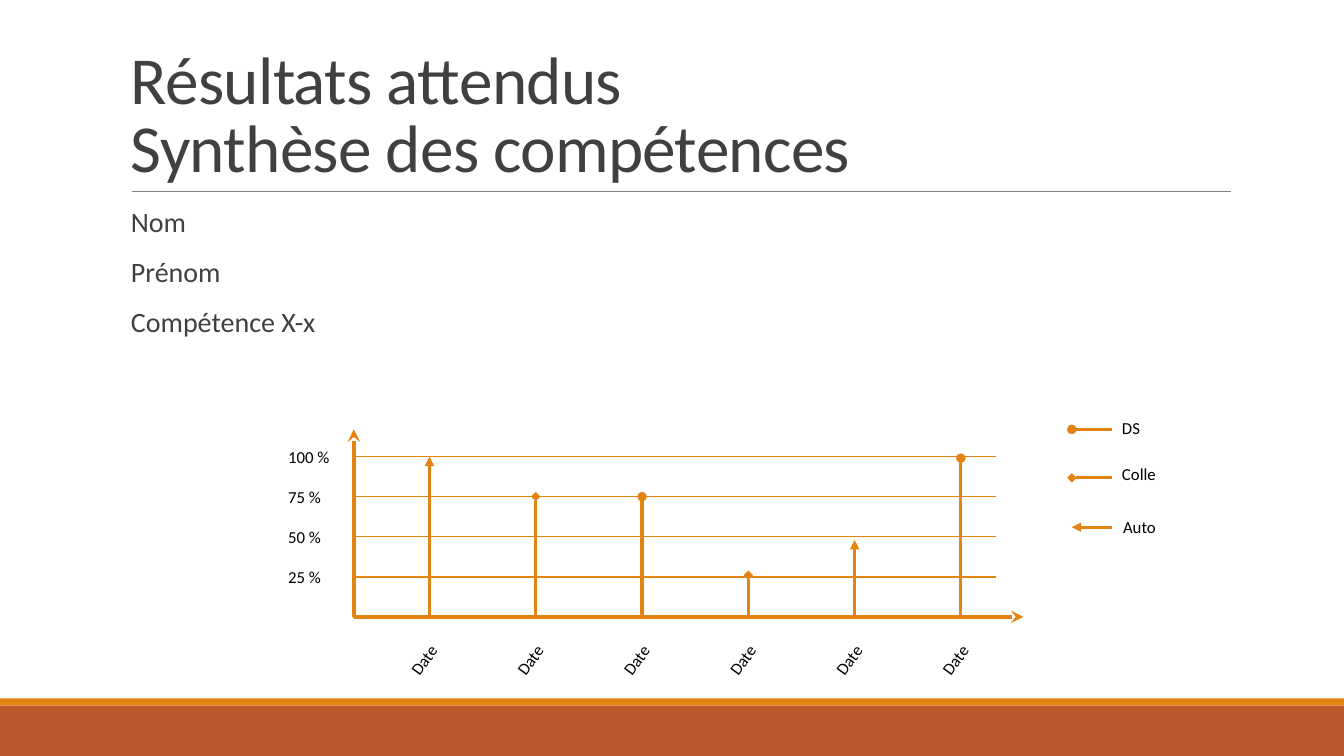
"""Build the expected-results slide with its skills summary diagram."""
from lxml import etree
from pptx import Presentation
from pptx.dml.color import RGBColor
from pptx.enum.shapes import MSO_CONNECTOR, MSO_SHAPE
from pptx.enum.text import MSO_ANCHOR
from pptx.oxml.ns import qn
from pptx.util import Inches, Pt

STRAIGHT = MSO_CONNECTOR.STRAIGHT
RECTANGLE = MSO_SHAPE.RECTANGLE
TOP, BOTTOM = MSO_ANCHOR.TOP, MSO_ANCHOR.BOTTOM
FONT = "Calibri"
COLORS = {"accent": "E48312", "band": "BD582C", "rule": "808080",
          "heading": "404040", "label": "000000"}

AXIS_X, AXIS_Y = 3.51, 6.12
FULL_HEIGHT = 1.59
FIRST_DATE, DATE_STEP = 4.26, 1.054
MARKERS = {"DS": "oval", "Colle": "diamond", "Auto": "triangle"}
RESULTS = [("Auto", 100), ("Colle", 75), ("DS", 75),
           ("Colle", 26), ("Auto", 48), ("DS", 99)]
LEGEND = [("DS", 4.26, 11.03, 4.1), ("Colle", 4.74, 11.03, 4.55),
          ("Auto", 5.23, 11.04, 5.08)]


def color(name):
    return RGBColor.from_string(COLORS[name])


def level(percent):
    """Return the height on the slide of a percentage."""
    return AXIS_Y - FULL_HEIGHT * percent / 100


def add_band(slide, top, height, fill):
    band = slide.shapes.add_shape(
        RECTANGLE, 0, Inches(top), Inches(13.33), Inches(height))
    band.shadow.inherit = False
    band.fill.solid()
    band.fill.fore_color.rgb = color(fill)
    band.line.fill.background()


def add_line(slide, start, end, width, stroke="accent", tip=None):
    line = slide.shapes.add_connector(
        STRAIGHT, *(Inches(value) for value in (*start, *end)))
    line.line.color.rgb = color(stroke)
    line.line.width = Pt(width)
    if tip:
        etree.SubElement(line.line._get_or_add_ln(), qn("a:tailEnd"), type=tip)
    etree.SubElement(line._element.spPr, qn("a:effectLst"))


def add_text(slide, box, lines, size, ink, anchor=TOP):
    """Add a text box with one paragraph per line and return it."""
    text_box = slide.shapes.add_textbox(*(Inches(value) for value in box))
    frame = text_box.text_frame
    frame.word_wrap = True
    frame.vertical_anchor = anchor
    frame.text = "\n".join(lines)
    for paragraph in frame.paragraphs:
        paragraph.font.name = FONT
        paragraph.font.size = Pt(size)
        paragraph.font.color.rgb = color(ink)
    return text_box


def add_label(slide, left, top, text, rotation=0):
    label = add_text(slide, (left, top, 0.73, 0.3), [text], 12, "label")
    label.rotation = rotation


def add_heading(slide):
    heading = add_text(slide, (1.2, 0.31, 11, 1.59),
                       ["Résultats attendus\vSynthèse des compétences"],
                       48, "heading", BOTTOM)
    paragraph = heading.text_frame.paragraphs[0]
    paragraph.line_spacing = 0.85
    for run in paragraph.runs:
        run.font._element.set("spc", "-50")
    add_line(slide, (1.31, 1.9), (12.21, 1.9), 0.5, "rule")


def add_identity(slide):
    identity = add_text(slide, (1.2, 2.02, 11, 4.4),
                        ["Nom", "Prénom", "Compétence X-x"], 20, "heading")
    for paragraph in identity.text_frame.paragraphs:
        paragraph.line_spacing = 0.9
        paragraph.space_before = Pt(12)
        paragraph.space_after = Pt(2)


def add_diagram(slide):
    origin = (AXIS_X, AXIS_Y)
    add_line(slide, origin, (AXIS_X, 4.26), 3, tip="stealth")
    add_line(slide, origin, (10.15, AXIS_Y), 3, tip="stealth")
    for percent in (100, 75, 50, 25, 0):
        height = level(percent)
        add_line(slide, (3.5, height), (9.88, height), 1)
        if percent:
            add_label(slide, 2.76, height - 0.15, f"{percent} %")
    for index, (kind, percent) in enumerate(RESULTS):
        x = FIRST_DATE + index * DATE_STEP
        add_line(slide, (x, 6.11), (x, level(percent)), 2.25, tip=MARKERS[kind])
        add_label(slide, x - 0.36, 6.31, "Date", 306)


def add_legend(slide):
    for kind, line_y, label_left, label_top in LEGEND:
        add_line(slide, (11.03, line_y), (10.63, line_y), 2.25, tip=MARKERS[kind])
        add_label(slide, label_left, label_top, kind)


def main():
    deck = Presentation()
    deck.slide_width, deck.slide_height = Inches(13.33), Inches(7.5)
    slide = deck.slides.add_slide(deck.slide_layouts[6])
    add_band(slide, 7, 0.5, "band")
    add_band(slide, 6.93, 0.07, "accent")
    add_heading(slide)
    add_identity(slide)
    add_diagram(slide)
    add_legend(slide)
    deck.save("out.pptx")


if __name__ == "__main__":
    main()
